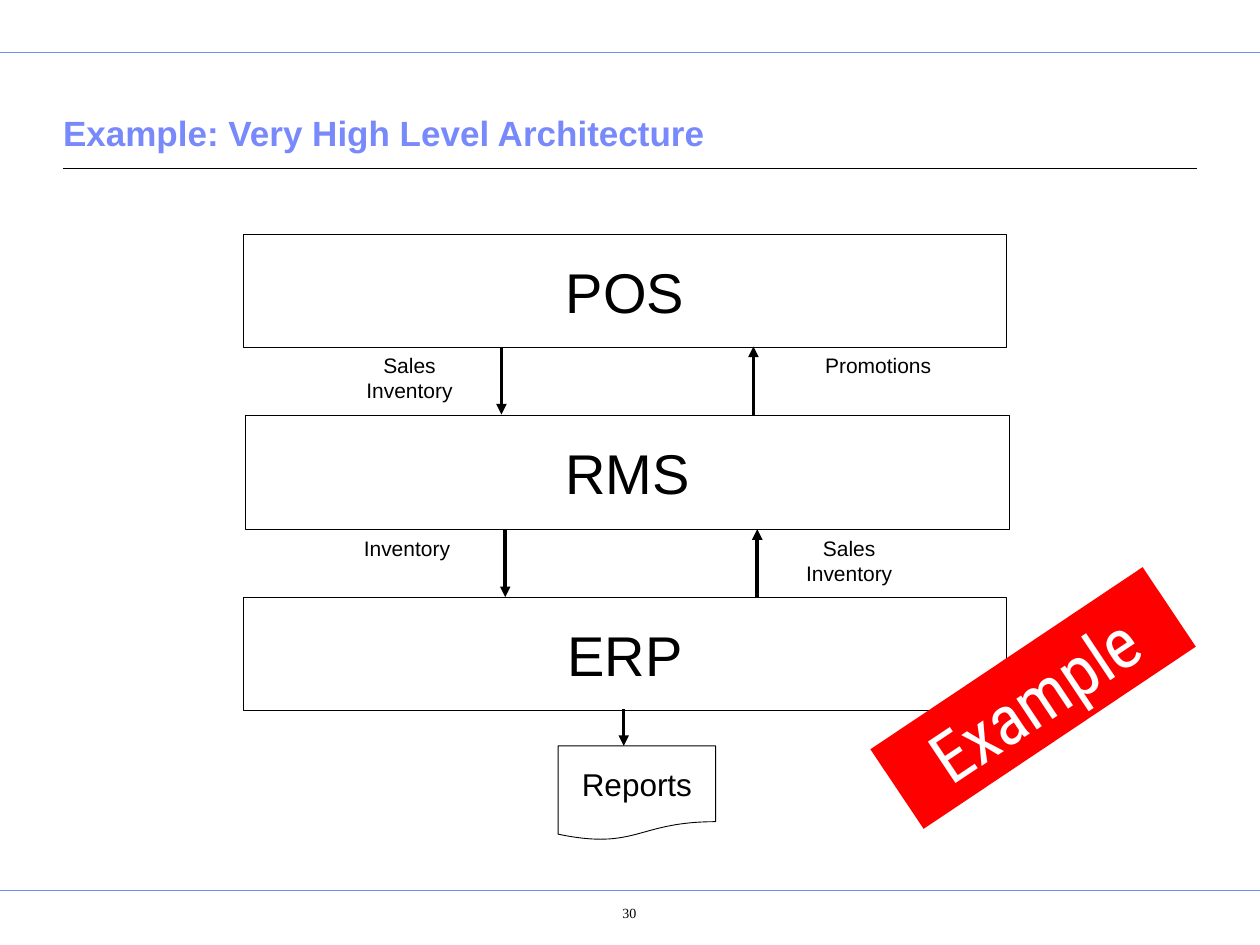
"""Builds the very high level architecture slide."""
from dataclasses import dataclass

import pptx
import pptx.dml.color
import pptx.enum.shapes
import pptx.enum.text
import pptx.oxml.ns
import pptx.util
from lxml import etree

Inches = pptx.util.Inches
Pt = pptx.util.Pt
Shape = pptx.enum.shapes.MSO_SHAPE
Anchor = pptx.enum.text.MSO_ANCHOR
Align = pptx.enum.text.PP_ALIGN
AutoSize = pptx.enum.text.MSO_AUTO_SIZE


@dataclass(frozen=True)
class Theme:
    """Colours, fonts and type sizes of the slide."""
    accent: str = "7889FB"
    ink: str = "000000"
    paper: str = "FFFFFF"
    stamp: str = "FF0000"
    body_font: str = "Arial"
    stamp_font: str = "Roboto Condensed"
    page_font: str = "Times New Roman"
    title: int = 20
    system: int = 32
    report: int = 18
    label: int = 12
    stamp_size: int = 40
    page: int = 8


THEME = Theme()


def rgb(value):
    """Return the colour object for a hex value."""
    return pptx.dml.color.RGBColor.from_string(value)


def write(frame, text, size, color=THEME.ink, font=THEME.body_font, bold=False,
          align=Align.CENTER, anchor=Anchor.TOP, wrap=True,
          insets=(0.1, 0.05, 0.1, 0.05), auto_size=AutoSize.NONE):
    """Fill a text frame with one formatted paragraph."""
    frame.auto_size = auto_size
    frame.word_wrap = wrap
    frame.vertical_anchor = anchor
    (frame.margin_left, frame.margin_top,
     frame.margin_right, frame.margin_bottom) = map(Inches, insets)
    paragraph = frame.paragraphs[0]
    paragraph.text = text
    paragraph.alignment = align
    paragraph.font.size = Pt(size)
    paragraph.font.name = font
    paragraph.font.bold = bold
    paragraph.font.color.rgb = rgb(color)


def add_title(slide, text):
    """Place and format the slide title."""
    title = slide.shapes.title
    title.left, title.top = Inches(0.5), Inches(0.64)
    title.width, title.height = Inches(9), Inches(0.63)
    write(title.text_frame, text, THEME.title, color=THEME.accent, bold=True,
          align=Align.LEFT, anchor=Anchor.BOTTOM, insets=(0, 0.05, 0, 0.05))


def add_line(slide, start, end, color=THEME.ink, width=0.75, arrow=False):
    """Draw a straight line, with an arrowhead at its end on request."""
    line = slide.shapes.add_connector(
        pptx.enum.shapes.MSO_CONNECTOR.STRAIGHT, *map(Inches, start + end))
    line.line.color.rgb = rgb(color)
    line.line.width = Pt(width)
    properties = line._element.spPr
    if arrow:
        etree.SubElement(properties.find(pptx.oxml.ns.qn("a:ln")),
                         pptx.oxml.ns.qn("a:tailEnd"), type="triangle")
    etree.SubElement(properties, pptx.oxml.ns.qn("a:effectLst"))


def add_flow(slide, x, start, end):
    """Draw a vertical data flow arrow."""
    add_line(slide, (x, start), (x, end), width=2, arrow=True)


def add_block(slide, kind, bounds, fill, outlined=True):
    """Add a filled shape without shadow."""
    block = slide.shapes.add_shape(kind, *map(Inches, bounds))
    block.shadow.inherit = False
    block.fill.solid()
    block.fill.fore_color.rgb = rgb(fill)
    if outlined:
        block.line.color.rgb = rgb(THEME.ink)
        block.line.width = Pt(0.5)
    else:
        block.line.fill.background()
    return block


def add_node(slide, text, bounds, size=THEME.system, kind=Shape.RECTANGLE):
    """Add an outlined box with a centred name."""
    node = add_block(slide, kind, bounds, THEME.paper)
    write(node.text_frame, text, size, anchor=Anchor.MIDDLE, wrap=False)


def add_text(slide, text, bounds, size, **style):
    """Add a free text box."""
    box = slide.shapes.add_textbox(*map(Inches, bounds))
    write(box.text_frame, text, size, **style)


def add_stamp(slide, text):
    """Add the slanted stamp."""
    stamp = add_block(slide, Shape.RECTANGLE, (6.9, 5.16, 2.6, 0.76),
                      THEME.stamp, outlined=False)
    stamp.rotation = 326.2
    write(stamp.text_frame, text, THEME.stamp_size, color=THEME.paper,
          font=THEME.stamp_font)


def main():
    """Build and save the slide."""
    deck = pptx.Presentation()
    deck.slide_width, deck.slide_height = Inches(10), Inches(7.5)
    slide = deck.slides.add_slide(deck.slide_layouts[5])

    for y in (0.42, 7.07):
        add_line(slide, (0, y), (10, y), color=THEME.accent, width=0.5)
    add_line(slide, (0.5, 1.34), (9.5, 1.34))
    add_title(slide, "Example: Very High Level Architecture")

    for name, left, top in (("POS", 1.93, 1.86), ("RMS", 1.95, 3.3),
                            ("ERP", 1.93, 4.74)):
        add_node(slide, name, (left, top, 6.06, 0.9))

    for x, top in ((3.98, 2.75), (4.01, 4.2)):
        add_flow(slide, x, top, top + 0.54)
        add_flow(slide, x + 2, top + 0.54, top)
    add_flow(slide, 4.95, 5.63, 5.92)

    for text, left, top in (("Sales\nInventory", 2.49, 2.75),
                            ("Promotions", 6.21, 2.75),
                            ("Inventory", 2.47, 4.2),
                            ("Sales\nInventory", 5.98, 4.2)):
        height = 0.3 + 0.2 * text.count("\n")
        add_text(slide, text, (left, top, 1.52, height), THEME.label,
                 auto_size=AutoSize.SHAPE_TO_FIT_TEXT)

    add_node(slide, "Reports", (4.43, 5.92, 1.25, 0.75), size=THEME.report,
             kind=Shape.FLOWCHART_DOCUMENT)
    add_stamp(slide, "Example")
    add_text(slide, "30", (4.27, 7.11, 1.15, 0.35), THEME.page,
             font=THEME.page_font, insets=(0.4, 0.07, 0.1, 0.05))
    deck.save("out.pptx")


if __name__ == "__main__":
    main()
